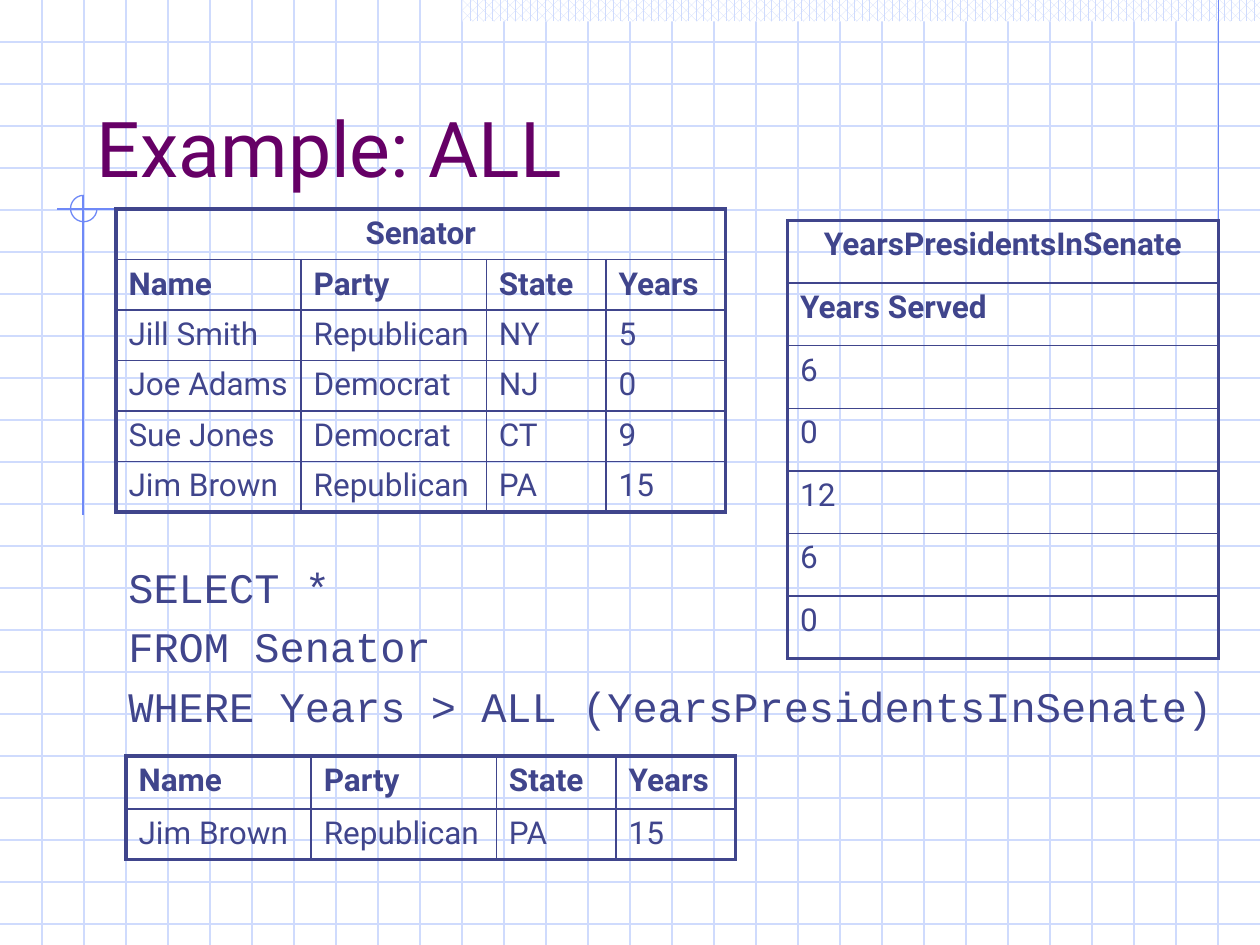
from lxml import etree
from pptx import Presentation
from pptx.dml.color import RGBColor
from pptx.enum.dml import MSO_PATTERN
from pptx.enum.shapes import MSO_CONNECTOR, MSO_SHAPE
from pptx.enum.text import MSO_ANCHOR, PP_ALIGN
from pptx.oxml.ns import qn
from pptx.util import Inches, Pt

STRAIGHT = MSO_CONNECTOR.STRAIGHT
RECTANGLE, ARC = MSO_SHAPE.RECTANGLE, MSO_SHAPE.ARC
DOTTED = MSO_PATTERN.PERCENT_60
BOTTOM, TOP = MSO_ANCHOR.BOTTOM, MSO_ANCHOR.TOP
LEFT, CENTER = PP_ALIGN.LEFT, PP_ALIGN.CENTER

COLORS = {"title": "660066", "ink": "40458C", "accent": "6F89F7",
          "band": "CFDBFD", "paper": "FFFFFF"}
FONT, CODE_FONT = "Roboto", "Courier New"
OUTER, INNER = 2.25, 1
WIDTH, HEIGHT = 10, 7.5
GRID_ROWS, GRID_COLUMNS = 22, 29
GRID_STEP = 1 / 3

TITLE = "Example: ALL"
QUERY = ["SELECT *", "FROM Senator", "WHERE Years > ALL (YearsPresidentsInSenate)"]
FIELDS = ["Name", "Party", "State", "Years"]
FIELD_WIDTHS = [1.47, 1.47, 0.95, 0.95]
SENATORS = [
    ["Jill Smith", "Republican", "NY", "5"],
    ["Joe Adams", "Democrat", "NJ", "0"],
    ["Sue Jones", "Democrat", "CT", "9"],
    ["Jim Brown", "Republican", "PA", "15"],
]
YEARS_SERVED = ["6", "0", "12", "6", "0"]

TABLES = [
    {"at": (0.92, 1.66), "caption": "Senator", "fields": FIELDS,
     "records": SENATORS, "widths": FIELD_WIDTHS, "heights": [0.4] * 6},
    {"at": (6.25, 1.75), "caption": "YearsPresidentsInSenate", "fields": ["Years Served"],
     "records": [[years] for years in YEARS_SERVED], "widths": [3.42],
     "heights": [3.48 / 7] * 7},
    {"at": (1, 6), "caption": None, "fields": FIELDS,
     "records": SENATORS[-1:], "widths": FIELD_WIDTHS, "heights": [0.42, 0.4]},
]
GUIDES = [(9.67, 0, 9.67, 2.58), (2.4, 1.66, 0.45, 1.66), (0.66, 1.55, 0.66, 4.09)]


def rgb(name):
    return RGBColor.from_string(COLORS[name])


def add_span(para, text, size, color, font=FONT, bold=False):
    span = para.add_run()
    span.text = text
    span.font.size = Pt(size)
    span.font.name = font
    span.font.bold = bold
    span.font.color.rgb = rgb(color)


def add_box(page, at, lines, size, color, font=FONT, anchor=TOP, gap=0):
    frame = page.shapes.add_textbox(*map(Inches, at)).text_frame
    frame.word_wrap = True
    frame.vertical_anchor = anchor
    for index, line in enumerate(lines):
        para = frame.add_paragraph() if index else frame.paragraphs[0]
        para.space_after = Pt(gap)
        add_span(para, line, size, color, font)


def add_rule(page, ends, color):
    rule = page.shapes.add_connector(STRAIGHT, *map(Inches, ends))
    rule.line.color.rgb = rgb(color)
    rule.line.width = Pt(0.75)
    etree.SubElement(rule.element.spPr, qn("a:effectLst"))


def add_grid(page):
    for row in range(1, GRID_ROWS + 1):
        add_rule(page, (0, row * GRID_STEP, WIDTH, row * GRID_STEP), "band")
    for column in range(1, GRID_COLUMNS + 1):
        add_rule(page, (column * GRID_STEP, 0, column * GRID_STEP, HEIGHT), "band")


def add_decoration(page):
    band = page.shapes.add_shape(RECTANGLE, *map(Inches, (3.67, 0, 6.33, 0.17)))
    band.shadow.inherit = False
    band.fill.patterned()
    band.fill.pattern = DOTTED
    band.fill.fore_color.rgb = rgb("band")
    band.fill.back_color.rgb = rgb("paper")
    band.line.fill.background()

    for ends in GUIDES:
        add_rule(page, ends, "accent")

    ring = page.shapes.add_shape(ARC, *map(Inches, (0.56, 1.55, 0.21, 0.21)))
    ring.shadow.inherit = False
    ring.adjustments[0] = 0
    ring.adjustments[1] = 162  # 270 degrees, in units of 100000/60000 degree
    ring.fill.background()
    ring.line.color.rgb = rgb("accent")
    ring.line.width = Pt(0.75)


def set_borders(cell, widths):
    """Draw the cell's sides; widths are points for left, right, top, bottom."""
    properties = cell._tc.get_or_add_tcPr()
    for position, (side, width) in enumerate(zip("LRTB", widths)):
        border = etree.Element(qn(f"a:ln{side}"), w=str(Pt(width)))
        fill = etree.SubElement(border, qn("a:solidFill"))
        etree.SubElement(fill, qn("a:srgbClr"), val=COLORS["ink"])
        properties.insert(position, border)


def add_relation(page, at, caption, fields, records, widths, heights):
    captions = [[caption] + [""] * (len(fields) - 1)] if caption else []
    rows = captions + [fields] + records
    last_row, last_column = len(rows) - 1, len(fields) - 1
    size = (sum(widths), sum(heights))
    table = page.shapes.add_table(len(rows), len(fields), *map(Inches, at + size)).table
    table.first_row = table.horz_banding = False
    for column, width in zip(table.columns, widths):
        column.width = Inches(width)
    for row, height in zip(table.rows, heights):
        row.height = Inches(height)
    if caption and last_column:
        table.cell(0, 0).merge(table.cell(0, last_column))

    for r, values in enumerate(rows):
        is_caption = r < len(captions)
        for c, value in enumerate(values):
            cell = table.cell(r, c)
            cell.fill.background()
            on_edge = (c == 0, is_caption or c == last_column, r == 0, r == last_row)
            set_borders(cell, [OUTER if edge else INNER for edge in on_edge])
            if value:
                para = cell.text_frame.paragraphs[0]
                para.alignment = CENTER if is_caption else LEFT
                add_span(para, value, 18, "ink", bold=r <= len(captions))


def main():
    deck = Presentation()
    deck.slide_width, deck.slide_height = Inches(WIDTH), Inches(HEIGHT)
    page = deck.slides.add_slide(deck.slide_layouts[6])
    add_grid(page)
    add_decoration(page)
    add_box(page, (0.67, 0.33, 8.5, 1.25), [TITLE], 44, "title", anchor=BOTTOM)
    add_box(page, (0.92, 4.41, 8.92, 1.5), QUERY, 24, "ink", CODE_FONT, gap=5)
    for relation in TABLES:
        add_relation(page, **relation)
    deck.save("out.pptx")


if __name__ == "__main__":
    main()
